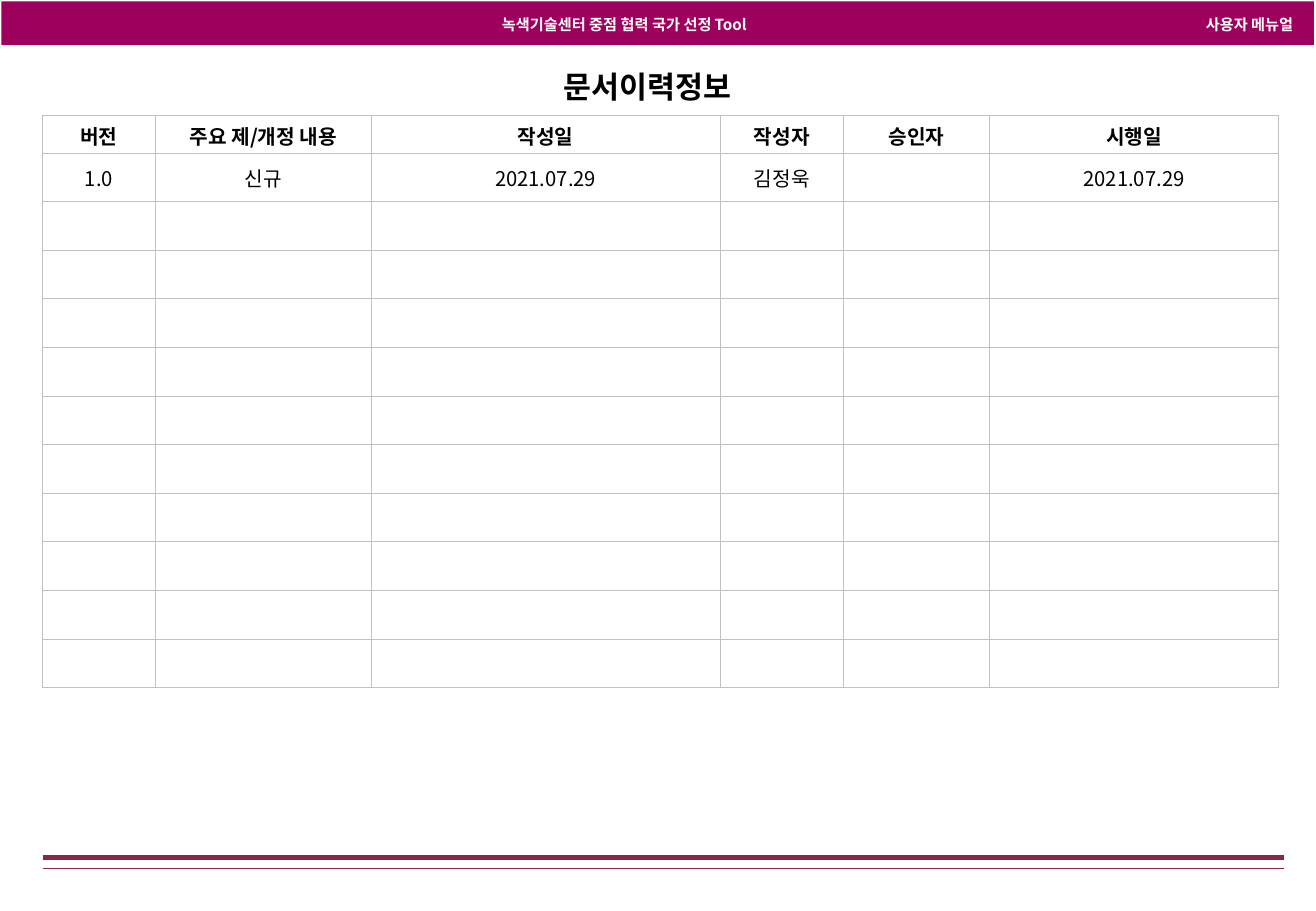
import pptx
import pptx.dml.color
import pptx.enum.shapes
import pptx.enum.text
import pptx.oxml.ns
import pptx.util
from lxml import etree

Cm = pptx.util.Cm
Pt = pptx.util.Pt
ALIGN = pptx.enum.text.PP_ALIGN
ANCHOR = pptx.enum.text.MSO_ANCHOR

FONT = "Noto Sans CJK KR"
BAND = "9E005D"
RULE = "8A2844"
GRID = "C0C0C0"
BLACK = "000000"
WHITE = "FFFFFF"

COLUMN_WIDTHS = [2.36, 4.52, 7.29, 2.59, 3.05, 6.05]
HEADINGS = ["버전", "주요 제/개정 내용", "작성일", "작성자", "승인자", "시행일"]
FIRST_VERSION = ["1.0", "신규", "2021.07.29", "김정욱", "", "2021.07.29"]
EMPTY_ROWS = 10
HEADING_HEIGHT = 0.78


def color(value):
    return pptx.dml.color.RGBColor.from_string(value)


def add_element(parent, tag, **attributes):
    return etree.SubElement(parent, pptx.oxml.ns.qn(tag), **attributes)


def write(text_frame, text, size=12, ink=BLACK, bold=False, align=ALIGN.CENTER):
    paragraph = text_frame.paragraphs[0]
    paragraph.alignment = align
    if not text:
        add_element(paragraph._p, "a:endParaRPr", sz=str(size * 100))
        return
    run = paragraph.add_run()
    run.text = text
    run.font.size = Pt(size)
    run.font.bold = bold
    run.font.name = FONT
    run.font.color.rgb = color(ink)
    add_element(run._r.get_or_add_rPr(), "a:ea", typeface=FONT)


def add_text(slide, box, text, wrap=True, margins=(0.1, 0.05), **text_format):
    shape = slide.shapes.add_textbox(*map(Cm, box))
    frame = shape.text_frame
    frame.word_wrap = wrap
    frame.vertical_anchor = ANCHOR.MIDDLE
    frame.margin_left = frame.margin_right = Cm(margins[0])
    frame.margin_top = frame.margin_bottom = Cm(margins[1])
    write(frame, text, **text_format)


def add_header(slide, left, top, width, height):
    band = slide.shapes.add_shape(
        pptx.enum.shapes.MSO_SHAPE.RECTANGLE, Cm(left), Cm(top), Cm(width), Cm(height))
    band.shadow.inherit = False
    band.fill.solid()
    band.fill.fore_color.rgb = color(BAND)
    band.line.fill.background()
    label = {"size": 9, "ink": WHITE, "bold": True}
    label_top = top + 0.23
    add_text(slide, (left + 5.03, label_top, 16, 0.48),
             "녹색기술센터 중점 협력 국가 선정 Tool", **label)
    add_text(slide, (left + width - 3.24, label_top, 2.9, 0.48),
             "사용자 메뉴얼", align=ALIGN.RIGHT, **label)


def add_footer(slide, left, top, width, gap):
    for offset, weight in ((0, 3), (gap, 0.5)):
        line = slide.shapes.add_connector(
            pptx.enum.shapes.MSO_CONNECTOR.STRAIGHT,
            Cm(left), Cm(top + offset), Cm(left + width), Cm(top + offset))
        line.line.color.rgb = color(RULE)
        line.line.width = Pt(weight)
        add_element(line._element.spPr, "a:effectLst")


def add_borders(cell):
    properties = cell._tc.get_or_add_tcPr()
    for position, side in enumerate(("a:lnL", "a:lnR", "a:lnT", "a:lnB")):
        border = etree.Element(pptx.oxml.ns.qn(side), w=str(int(Pt(0.45))))
        fill = add_element(border, "a:solidFill")
        add_element(fill, "a:srgbClr", val=GRID)
        properties.insert(position, border)


def add_history_table(slide, left, top, width, height):
    rows = [HEADINGS, FIRST_VERSION] + [[""] * len(HEADINGS)] * EMPTY_ROWS
    table = slide.shapes.add_table(
        len(rows), len(HEADINGS), Cm(left), Cm(top), Cm(width), Cm(height)).table
    table.first_row = False
    table.horz_banding = False
    for column, share in zip(table.columns, COLUMN_WIDTHS):
        column.width = Cm(width * share / sum(COLUMN_WIDTHS))
    body_height = (height - HEADING_HEIGHT) / (len(rows) - 1)
    for row_index, texts in enumerate(rows):
        heading = row_index == 0
        table.rows[row_index].height = Cm(HEADING_HEIGHT if heading else body_height)
        for column_index, text in enumerate(texts):
            cell = table.cell(row_index, column_index)
            cell.fill.background()
            cell.margin_left = cell.margin_right = Cm(0.28)
            cell.margin_top = Cm(0.12)
            cell.margin_bottom = Cm(0.02 if heading else 0.12)
            cell.vertical_anchor = ANCHOR.TOP if heading else ANCHOR.MIDDLE
            add_borders(cell)
            write(cell.text_frame, text, bold=heading)


def main():
    presentation = pptx.Presentation()
    presentation.slide_width = Cm(27.53)
    presentation.slide_height = Cm(19.05)
    slide = presentation.slides.add_slide(presentation.slide_layouts[6])
    add_header(slide, 0.03, 0.03, 27.46, 0.91)
    add_footer(slide, 0.89, 17.93, 25.98, 0.23)
    add_text(slide, (11.53, 1.3, 4.02, 1.02), "문서이력정보", wrap=False,
             margins=(0.25, 0.13), size=18, bold=True)
    add_history_table(slide, 0.89, 2.42, 25.86, 11.96)
    presentation.save("out.pptx")


if __name__ == "__main__":
    main()
